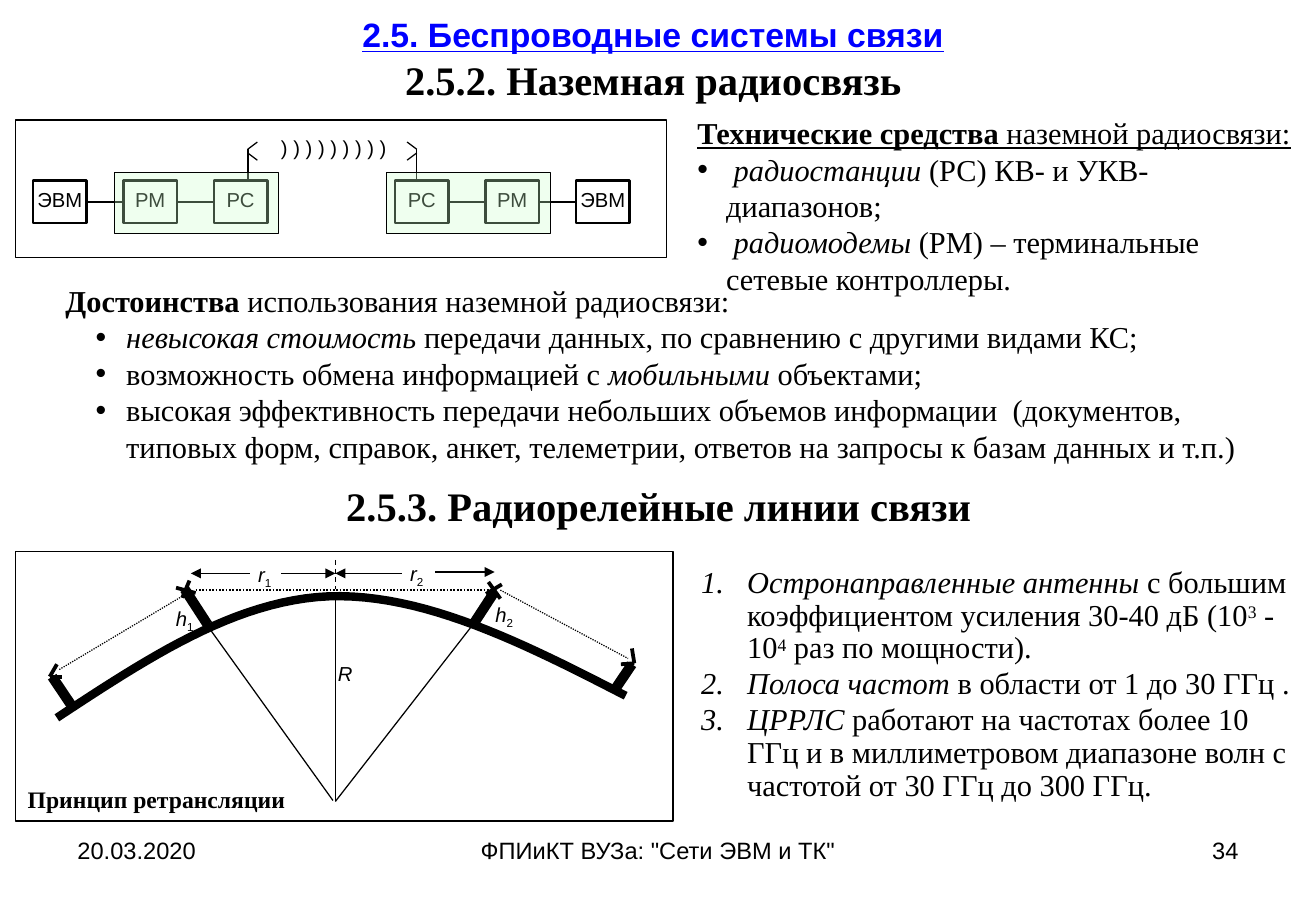
from dataclasses import dataclass

from lxml.etree import SubElement
from pptx import Presentation
from pptx.dml.color import RGBColor as RGB
from pptx.enum.dml import MSO_LINE as DASH
from pptx.enum.shapes import MSO_CONNECTOR as CONN, MSO_SHAPE as SHAPE
from pptx.enum.text import MSO_ANCHOR as ANCHOR, PP_ALIGN as ALIGN
from pptx.oxml.ns import qn
from pptx.util import Cm, Pt


@dataclass(frozen=True)
class Theme:
    black: RGB = RGB(0x00, 0x00, 0x00)
    link: RGB = RGB(0x00, 0x00, 0xFF)
    zone: RGB = RGB(0xCC, 0xFF, 0xCC)
    sans: str = "Arial"
    serif: str = "Times New Roman"
    label: int = 12
    small: int = 14
    body: int = 18
    section: int = 20
    heading: int = 24
    thin: float = 0.75
    dish: float = 2.25
    arc: float = 5
    mast: float = 6


FLAGS = {"b": "bold", "i": "italic", "u": "underline"}
BASELINES = {"^": "26000", "_": "-25000"}
BULLET = ("buChar", {"char": "•"})
NUMBER = ("buAutoNum", {"type": "arabicPeriod"})


def apply(obj, fmt):
    for name, value in fmt.items():
        setattr(obj, name, value)


class Board:
    """Holds the theme and the current slide."""

    def __init__(self, slide, theme):
        self.s, self.t = slide, theme

    def paragraph(self, tf, runs, size, font, color=None, fmt=None,
                  mark=None, margin=0, indent=0):
        """Runs are (text, flags): b, i, u, ^ superscript, _ subscript."""
        p = tf.paragraphs[0] if not tf.paragraphs[0].runs else tf.add_paragraph()
        apply(p, fmt or {})
        for text, flags in runs:
            r = p.add_run()
            r.text = text
            apply(r.font, {"size": Pt(size), "name": font})
            apply(r.font, {FLAGS[f]: True for f in flags if f in FLAGS})
            r.font.color.rgb = color or self.t.black
            for f in flags:
                if f in BASELINES:
                    r.font._element.set("baseline", BASELINES[f])
        if mark:
            ppr = p._p.get_or_add_pPr()
            ppr.set("marL", str(Cm(margin)))
            ppr.set("indent", str(Cm(indent)))
            SubElement(ppr, qn("a:buFont"), typeface=self.t.sans if mark is BULLET else "+mj-lt")
            SubElement(ppr, qn("a:" + mark[0]), mark[1])
        return p

    def frame(self, sp, ins, anchor=ANCHOR.TOP):
        tf = sp.text_frame
        x, y = (Cm(v) for v in ins)
        apply(tf, {"word_wrap": True, "vertical_anchor": anchor, "margin_left": x,
                   "margin_right": x, "margin_top": y, "margin_bottom": y})
        return tf

    def text(self, x, y, w, h, ins=(0.25, 0.13), anchor=ANCHOR.TOP):
        sp = self.s.shapes.add_textbox(Cm(x), Cm(y), Cm(w), Cm(h))
        return self.frame(sp, ins, anchor)

    def label(self, x, y, w, h, runs, size, font, align=ALIGN.LEFT, ins=(0.25, 0.13)):
        tf = self.text(x, y, w, h, ins)
        self.paragraph(tf, runs, size, font, fmt={"alignment": align})

    def outline(self, sp, width):
        sp.shadow.inherit = False
        sp.fill.background()
        sp.line.color.rgb = self.t.black
        sp.line.width = Pt(width)

    def rect(self, x, y, w, h, width=None, fill=None, alpha=100, text=None):
        sp = self.s.shapes.add_shape(SHAPE.RECTANGLE, Cm(x), Cm(y), Cm(w), Cm(h))
        self.outline(sp, width or self.t.thin)
        if fill is not None:
            sp.fill.solid()
            sp.fill.fore_color.rgb = fill
            clr = sp._element.spPr.find(qn("a:solidFill"))[0]
            SubElement(clr, qn("a:alpha"), val=str(alpha * 1000))
        if text:
            self.paragraph(self.frame(sp, (0.05, 0.13)), [(text, "")], self.t.label,
                           self.t.sans, fmt={"alignment": ALIGN.CENTER})
        return sp

    def line(self, x1=0, y1=0, x2=0, y2=0, width=None, dash=None, arrow=False, join=None):
        """The arrowhead sits at the start; join links two boxes side to side."""
        c = self.s.shapes.add_connector(CONN.STRAIGHT, Cm(x1), Cm(y1), Cm(x2), Cm(y2))
        if join:
            c.begin_connect(join[0], 3)
            c.end_connect(join[1], 1)
        c.line.color.rgb = self.t.black
        c.line.width = Pt(width or self.t.thin)
        if dash:
            c.line.dash_style = dash
        if arrow:
            SubElement(c.line._get_or_add_ln(), qn("a:headEnd"), type="triangle")
        SubElement(c._element.spPr, qn("a:effectLst"))

    def curve(self, start, segments, width, steps=24):
        """Cubic segments, each given as two controls and an end point."""
        points = []
        a = start
        for b, c, d in segments:
            for k in range(1, steps + 1):
                t = k / steps
                u = 1 - t
                points.append(tuple(
                    Cm(u**3 * a[i] + 3 * u * u * t * b[i] + 3 * u * t * t * c[i] + t**3 * d[i])
                    for i in (0, 1)))
            a = d
        fb = self.s.shapes.build_freeform(Cm(start[0]), Cm(start[1]))
        fb.add_line_segments(points, close=False)
        self.outline(fb.convert_to_shape(), width)


def radio_link(b):
    t = b.t
    # Two stations of three devices in a row
    for left, names in ((0.69, ("ЭВМ", "РМ", "РС")), (8.26, ("РС", "РМ", "ЭВМ"))):
        boxes = [b.rect(left + 1.89 * i, 3.78, 1.12, 0.89, 1.5, text=name)
                 for i, name in enumerate(names)]
        for pair in zip(boxes, boxes[1:]):
            b.line(join=pair)
    # Antennas facing each other
    for x, side in ((5.18, 1), (8.71, -1)):
        b.line(x, 3.12, x, 3.78, 1)
        b.line(x, 3.12, x + 0.2 * side, 2.97)
        b.line(x, 3.2, x + 0.2 * side, 3.35)
    b.label(5.61, 2.79, 2.74, 0.66, [(") ) ) ) ) ) ) ) )", "")], t.label, t.sans,
            ALIGN.CENTER, (0.15, 0.03))
    b.rect(0.33, 2.51, 13.61, 2.87)
    for x in (2.39, 8.08):
        b.rect(x, 3.61, 3.43, 1.27, fill=t.zone, alpha=30)


def relay_line(b):
    t = b.t
    # Earth surface and frame
    b.curve((1.19, 15.01), [((3.05, 13.79), (4.9, 12.55), (6.88, 12.47)),
                            ((8.86, 12.4), (10.97, 13.46), (13.08, 14.55))], t.arc)
    b.rect(0.33, 11.53, 13.74, 5.64)
    # Masts, dishes, beams, radii and axis
    masts = [(1.09, 14.15, 1.5, 14.76), (3.86, 12.32, 4.34, 13.06),
             (10.34, 12.37, 9.91, 13.03), (12.88, 14.38, 13.21, 13.89)]
    dishes = [(1.19, 13.89, 1.04, 14.15), (1.04, 14.15, 1.3, 14.15),
              (3.68, 12.29, 4.09, 12.4), (3.96, 12.14, 3.81, 12.5),
              (10.21, 12.17, 10.46, 12.52), (10.49, 12.22, 10.16, 12.42),
              (13.21, 13.56, 13.26, 13.87), (13.26, 13.87, 12.98, 13.89)]
    horizon = [(4.09, 12.34, 10.29, 12.34)]
    beams = [(1.24, 14, 3.84, 12.45), (10.46, 12.34, 13.13, 13.77)]
    radii = [(4.37, 13.13, 6.96, 16.74), (9.91, 13.03, 7.01, 16.76), (7.01, 16.76, 7.01, 12.37)]
    axis = [(7.01, 11.71, 7.01, 12.32)]
    for lines, width, dash in ((masts, t.mast, None), (dishes, t.dish, None),
                               (horizon, 1, DASH.ROUND_DOT), (beams, t.thin, DASH.ROUND_DOT),
                               (radii, t.thin, None), (axis, t.thin, DASH.DASH)):
        for ends in lines:
            b.line(*ends, width, dash)
    # Distance arrows, tip first
    for tip, tail, y in ((3.99, 5.23, 11.99), (7.01, 5.87, 11.99),
                         (7.01, 8.41, 11.99), (10.34, 9.09, 11.96)):
        b.line(tip, y, tail, y, arrow=True)
    # Symbols
    for x, y, name, index in ((5.18, 11.73, "r", "1"), (8.36, 11.71, "r", "2"),
                              (3.51, 12.65, "h", "1"), (10.19, 12.57, "h", "2"),
                              (6.86, 13.79, "R", "")):
        runs = [(name, "i")] + ([(index, "_")] if index else [])
        b.label(x, y, 0.71, 0.56, runs, t.label, t.sans, ALIGN.CENTER, (0.05, 0.03))
    b.label(0.33, 16.28, 6.63, 0.84, [("Принцип ретрансляции", "b")], t.small, t.serif)


def texts(b):
    t = b.t
    # Headings
    tf = b.text(0.36, 0.03, 26.59, 2.39, anchor=ANCHOR.MIDDLE)
    center = {"alignment": ALIGN.CENTER}
    b.paragraph(tf, [("2.5. Беспроводные системы связи", "bu")], t.section, t.sans, t.link, center)
    b.paragraph(tf, [("2.5.2. Наземная радиосвязь", "b")], t.heading, t.serif, fmt=center)
    b.label(1.02, 9.93, 25.5, 1.27, [("2.5.3. Радиорелейные линии связи", "b")],
            t.heading, t.serif, ALIGN.CENTER)
    # Advantages
    tf = b.text(1.12, 5.77, 25.63, 4.11)
    b.paragraph(tf, [("Достоинства", "b"), (" использования наземной радиосвязи:", "")],
                t.body, t.serif)
    for runs in (
            [("невысокая стоимость ", "i"),
             ("передачи данных, по сравнению с другими видами КС;", "")],
            [("возможность обмена информацией с ", ""), ("мобильными", "i"), (" объектами;", "")],
            [("высокая эффективность передачи небольших объемов информации  (документов, типовых "
              "форм, справок, анкет, телеметрии, ответов на запросы к базам данных и т.п.)", "")]):
        b.paragraph(tf, runs, t.body, t.serif, mark=BULLET, margin=1.27, indent=-0.64)
    # Equipment
    tf = b.text(14.53, 2.26, 12.57, 3.33, (0.05, 0.13))
    b.paragraph(tf, [("Технические средства", "bu"), (" наземной радиосвязи:", "u")],
                t.body, t.serif)
    for term, rest in ((" радиостанции ", "(РС) КВ- и УКВ-диапазонов;"),
                       (" радиомодемы ", "(РМ) – терминальные сетевые контроллеры.")):
        b.paragraph(tf, [(term, "i"), (rest, "")], t.body, t.serif,
                    mark=BULLET, margin=0.6, indent=-0.6)
    # Relay line features
    tf = b.text(14.61, 11.73, 12.45, 5.26, (0.05, 0.13))
    for runs in (
            [("Остронаправленные антенны", "i"),
             (" с большим коэффициентом усиления 30-40 дБ (10", ""), ("3", "^"),
             (" - 10", ""), ("4", "^"), (" раз по мощности).", "")],
            [("Полоса частот", "i"), (" в области от 1 до 30 ГГц .", "")],
            [("ЦРРЛС", "i"), (" работают на частотах более 10 ГГц и в миллиметровом диапазоне "
                              "волн с частотой от 30 ГГц до 300 ГГц.", "")]):
        b.paragraph(tf, runs, t.body, t.serif, mark=NUMBER, margin=0.96, indent=-0.96,
                    fmt={"line_spacing": 0.9, "space_before": Pt(1.8)})
    # Footer
    for x, w, text, align in ((1.37, 6.43, "20.03.2020", ALIGN.LEFT),
                              (9.4, 8.71, 'ФПИиКТ ВУЗа: "Сети ЭВМ и ТК"', ALIGN.CENTER),
                              (19.71, 6.43, "34", ALIGN.RIGHT)):
        b.label(x, 17.35, w, 1.32, [(text, "")], t.small, t.sans, align)


def main():
    prs = Presentation()
    apply(prs, {"slide_width": Cm(27.51), "slide_height": Cm(19.05)})
    b = Board(prs.slides.add_slide(prs.slide_layouts[6]), Theme())
    radio_link(b)
    texts(b)
    relay_line(b)
    prs.save("out.pptx")


if __name__ == "__main__":
    main()
